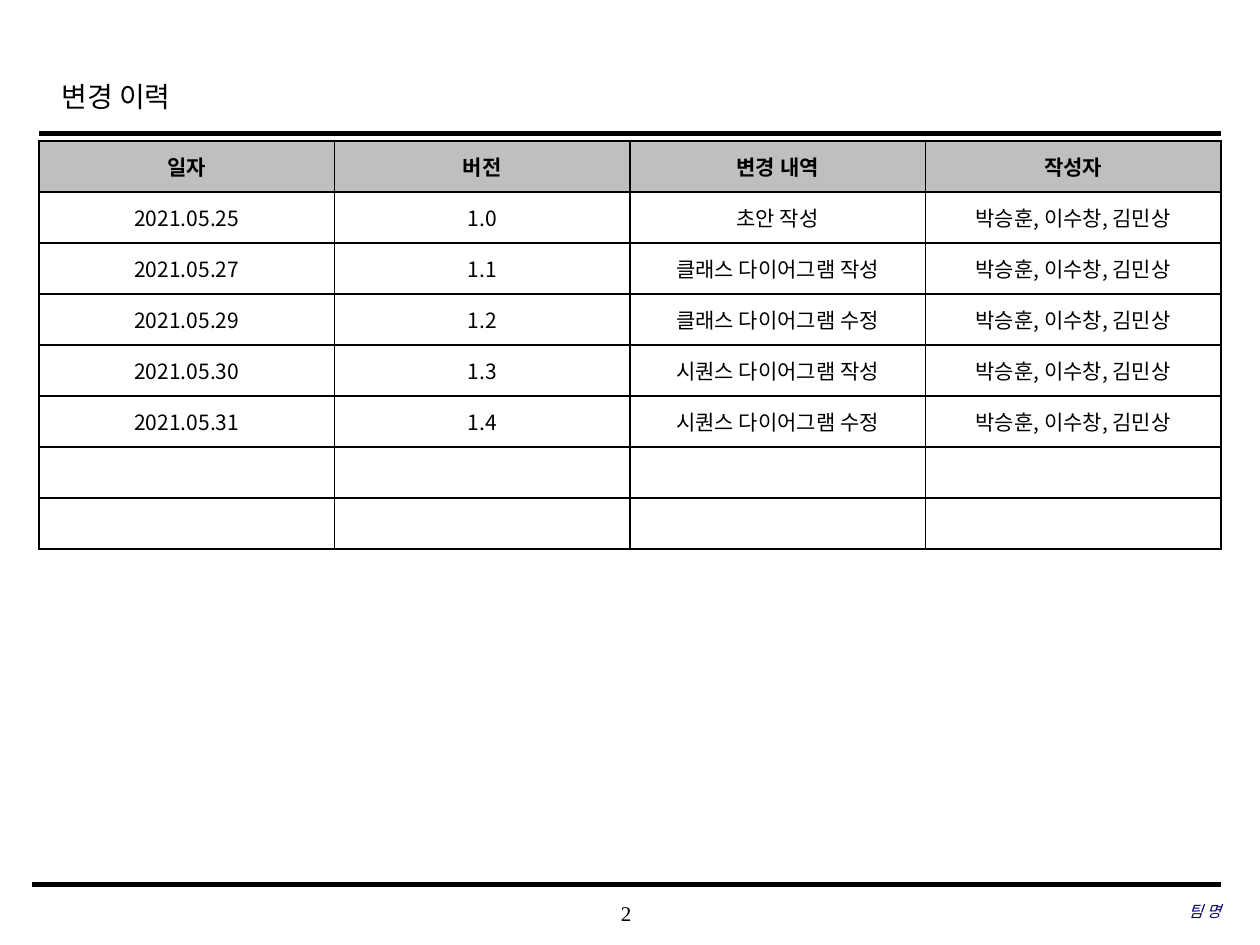
"""Build the change history slide with its version table."""
import pptx
import pptx.util
import pptx.dml.color
import pptx.enum.shapes
import pptx.enum.text
import pptx.oxml
import pptx.oxml.ns

COLORS = {"ink": "000000", "team": "000066", "header": "BFBFBF", "body": "FFFFFF"}
SERIF, SANS = "Times New Roman", "Noto Sans CJK KR"
AUTHORS = "박승훈, 이수창, 김민상"
HEADER = ("일자", "버전", "변경 내역", "작성자")
CHANGES = [
    ("2021.05.25", "1.0", "초안 작성"),
    ("2021.05.27", "1.1", "클래스 다이어그램 작성"),
    ("2021.05.29", "1.2", "클래스 다이어그램 수정"),
    ("2021.05.30", "1.3", "시퀀스 다이어그램 작성"),
    ("2021.05.31", "1.4", "시퀀스 다이어그램 수정"),
]
EMPTY_ROWS = 2
ROWS = [HEADER] + [c + (AUTHORS,) for c in CHANGES] + [("",) * len(HEADER)] * EMPTY_ROWS
RULES = [(0.31, 1.06, 2.5), (0.25, 7.02, 3)]
LEFT, RIGHT, TABLE_TOP, ROW_H = 0.31, 9.69, 1.12, 0.405
TEXTS = [
    ("변경 이력", (0.39, 0.49, 7.55, 0.5),
     dict(size=16, spacing=1.2, align="LEFT"), (0.1, 0.05)),
    ("2", (3.93, 7.08, 2.08, 0.33), dict(size=12), (0, 0)),
    ("팀 명", (6.63, 7.07, 3.06, 0.33),
     dict(size=9, color="team", italic=True, align="RIGHT"), (0, 0)),
]

inch = pptx.util.Inches
MIDDLE = pptx.enum.text.MSO_ANCHOR.MIDDLE


def rgb(name):
    return pptx.dml.color.RGBColor.from_string(COLORS[name])


def write(tf, text, size=12, font=SERIF, color="ink", bold=False, italic=False,
          align="CENTER", spacing=None):
    p = tf.paragraphs[0]
    p.alignment = getattr(pptx.enum.text.PP_ALIGN, align)
    if spacing:
        p.line_spacing = spacing
    r = p.add_run()
    r.text = text
    f = r.font
    f.size, f.name, f.bold, f.italic = pptx.util.Pt(size), font, bold, italic
    f.color.rgb = rgb(color)
    ea = pptx.oxml.parse_xml(f'<a:ea {pptx.oxml.ns.nsdecls("a")} typeface="{SANS}"/>')
    f._element.find(pptx.oxml.ns.qn("a:latin")).addnext(ea)


def add_borders(cell):
    tc_pr = cell._tc.get_or_add_tcPr()
    for side in "LRTB":
        tc_pr.append(pptx.oxml.parse_xml(
            f'<a:ln{side} {pptx.oxml.ns.nsdecls("a")} w="12700"><a:solidFill>'
            f'<a:srgbClr val="{COLORS["ink"]}"/></a:solidFill></a:ln{side}>'))


prs = pptx.Presentation()
prs.slide_width, prs.slide_height = inch(10), inch(7.5)
s = prs.slides.add_slide(prs.slide_layouts[6])

for x, y, weight in RULES:
    line = s.shapes.add_connector(pptx.enum.shapes.MSO_CONNECTOR.STRAIGHT,
                                  inch(x), inch(y), inch(RIGHT), inch(y))
    line.line.color.rgb = rgb("ink")
    line.line.width = pptx.util.Pt(weight)
    line._element.spPr.append(
        pptx.oxml.parse_xml(f'<a:effectLst {pptx.oxml.ns.nsdecls("a")}/>'))

for text, box, style, (inset_x, inset_y) in TEXTS:
    tf = s.shapes.add_textbox(*map(inch, box)).text_frame
    tf.word_wrap, tf.vertical_anchor = True, MIDDLE
    tf.margin_left = tf.margin_right = inch(inset_x)
    tf.margin_top = tf.margin_bottom = inch(inset_y)
    write(tf, text, **style)

table = s.shapes.add_table(len(ROWS), len(HEADER), inch(LEFT), inch(TABLE_TOP),
                           inch(RIGHT - LEFT), inch(ROW_H * len(ROWS))).table
for i, values in enumerate(ROWS):
    table.rows[i].height = inch(ROW_H)
    for j, value in enumerate(values):
        cell = table.cell(i, j)
        add_borders(cell)
        cell.fill.solid()
        cell.fill.fore_color.rgb = rgb("body" if i else "header")
        cell.vertical_anchor = MIDDLE
        cell.margin_top = cell.margin_bottom = inch(0.03)
        if value:
            write(cell.text_frame, value, font=SANS, bold=i == 0)

prs.save("out.pptx")
